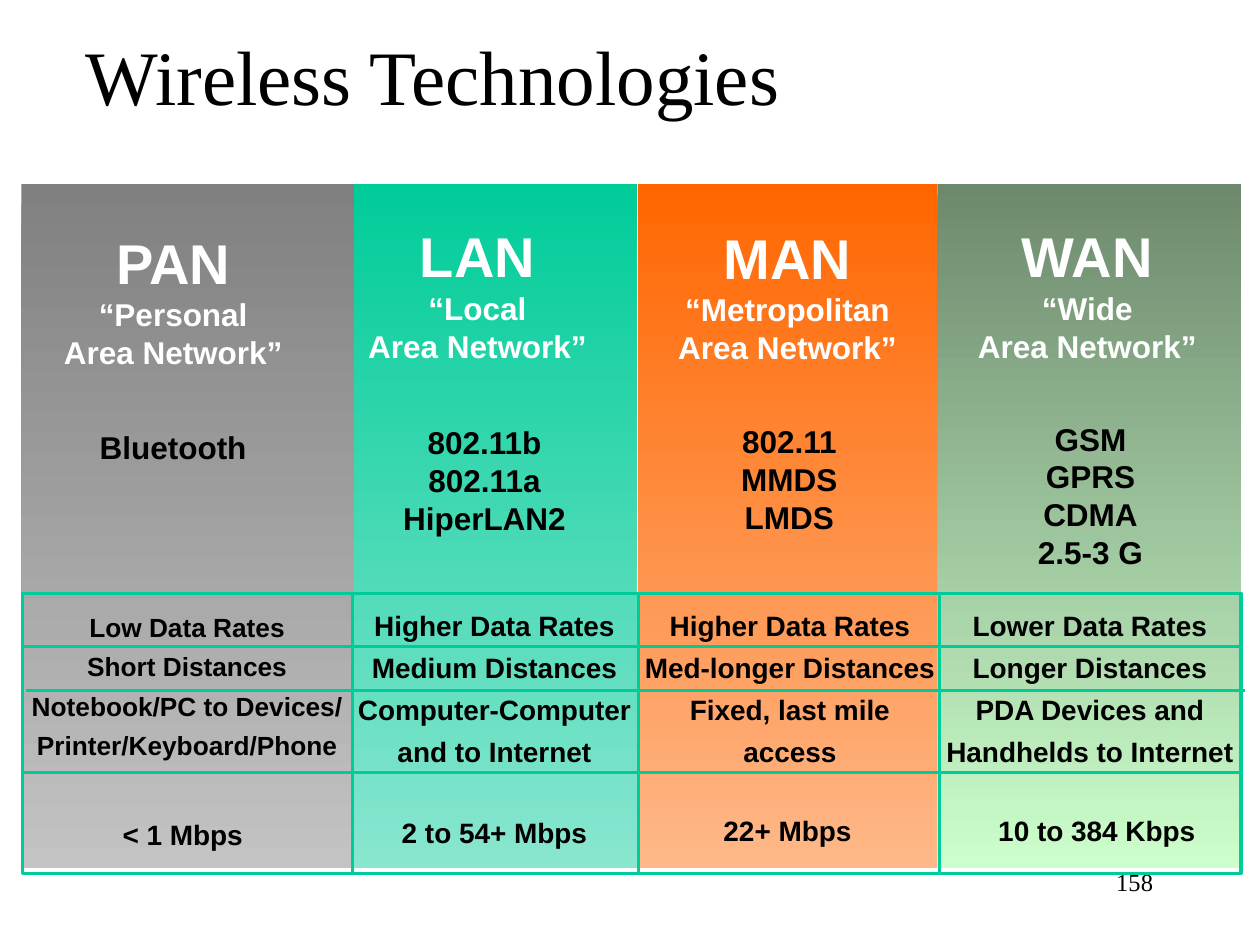
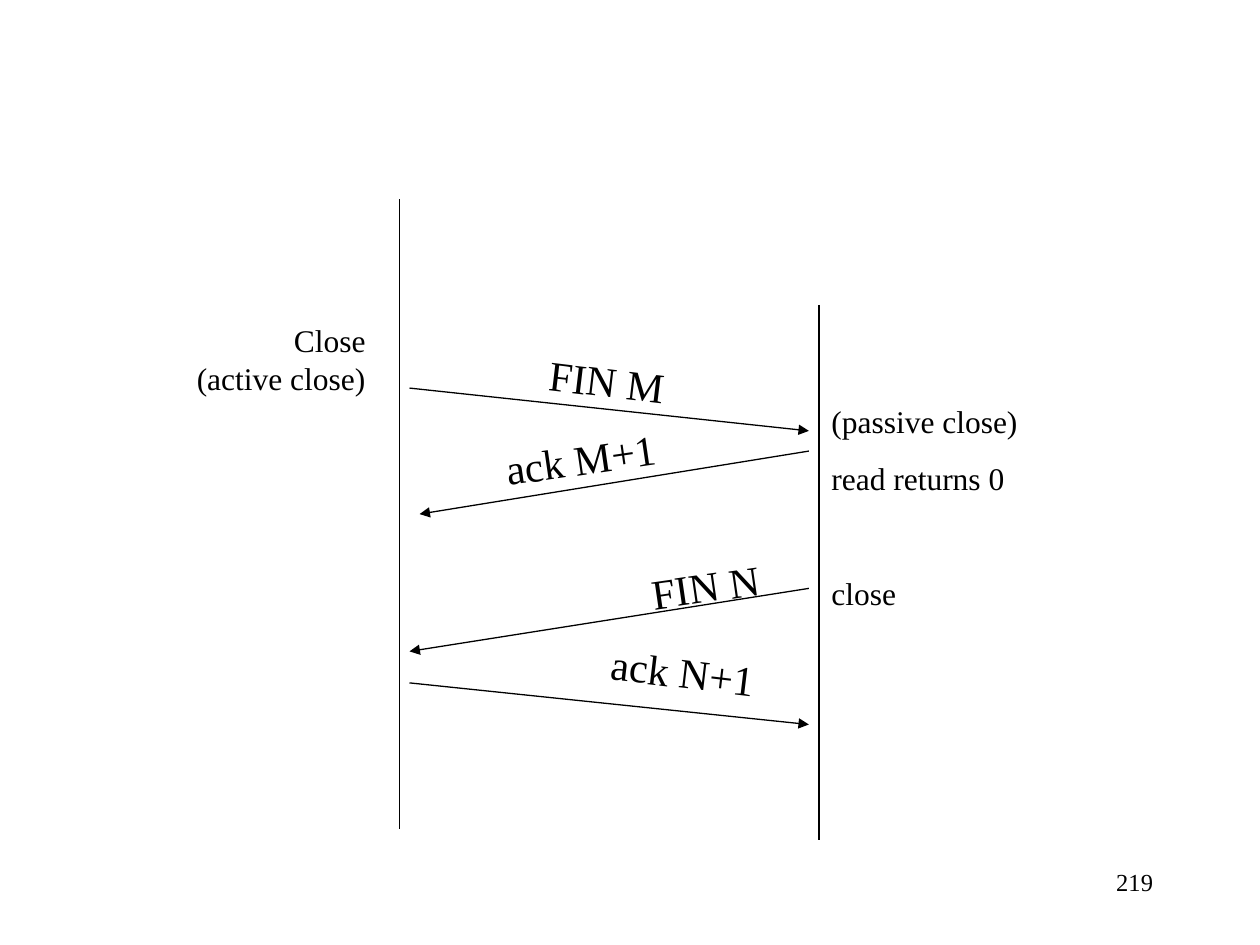
from lxml import etree
from pptx import Presentation
from pptx import util as u
from pptx.dml.color import RGBColor
from pptx.enum import shapes, text
from pptx.oxml import ns

BLACK = RGBColor(0, 0, 0)
WHITE = RGBColor(255, 255, 255)
TEAL = RGBColor(0x00, 0xCC, 0x99)
MINT = RGBColor(0x89, 0xE6, 0xCF)
GREY = RGBColor(0x80, 0x80, 0x80)
SILVER = RGBColor(0xC3, 0xC3, 0xC3)
ORANGE = RGBColor(0xFF, 0x66, 0x00)
PEACH = RGBColor(0xFE, 0xB8, 0x89)
MOSS = RGBColor(0x6D, 0x89, 0x6D)
PALE = RGBColor(0xCC, 0xFF, 0xCC)

SERIF = dict(name="Times New Roman", bold=False, color=BLACK)
SANS = dict(name="Arial", bold=True, color=BLACK)
LEFT = text.PP_ALIGN.LEFT
RIGHT = text.PP_ALIGN.RIGHT
MID = text.PP_ALIGN.CENTER
WIDE = (0.1, 0.05)
TIGHT = (0.08, 0.04)


class Deck:
    def __init__(self):
        self.show = Presentation()
        self.show.slide_width = u.Inches(10)
        self.show.slide_height = u.Inches(7.5)
        self.slide = None

    def page(self, number, title=None):
        self.slide = self.show.slides.add_slide(
            self.show.slide_layouts[5 if title else 6])
        if title:
            head = self.slide.shapes.title
            self.place(head, 0.58, 0.25, 8.5, 0.69)
            self.letter(head, [title], 44, SERIF, LEFT, WIDE)
            head.text_frame.vertical_anchor = text.MSO_ANCHOR.MIDDLE
        self.label((7.17, 6.83, 2.08, 0.5), [number], 14, SERIF, RIGHT, WIDE)

    def place(self, shape, *box):
        for key, size in zip(("left", "top", "width", "height"), box):
            setattr(shape, key, u.Inches(size))

    def letter(self, shape, lines, size, style, align, inset,
               wrap=True, space=None, gaps=()):
        frame = shape.text_frame
        side, edge = map(u.Inches, inset)
        form = dict(word_wrap=wrap, auto_size=text.MSO_AUTO_SIZE.NONE,
                    margin_left=side, margin_right=side,
                    margin_top=edge, margin_bottom=edge)
        for key, value in form.items():
            setattr(frame, key, value)
        sizes = size if isinstance(size, tuple) else (size,) * len(lines)
        for i, line in enumerate(lines):
            para = frame.paragraphs[0] if i == 0 else frame.add_paragraph()
            para.alignment = align
            if space:
                para.line_spacing = space
            if gaps:
                para.space_before = u.Pt(gaps[i])
            run = para.add_run()
            run.text = line
            for key, value in dict(name=style["name"], bold=style["bold"],
                                   size=u.Pt(sizes[i])).items():
                setattr(run.font, key, value)
            run.font.color.rgb = style["color"]

    def label(self, box, lines, size, style, align, inset, turn=0, **more):
        shape = self.slide.shapes.add_textbox(*map(u.Inches, box))
        shape.rotation = turn
        self.letter(shape, lines, size, style, align, inset, **more)

    def rect(self, *box):
        shape = self.slide.shapes.add_shape(
            shapes.MSO_SHAPE.RECTANGLE, *map(u.Inches, box))
        shape.shadow.inherit = False
        return shape

    def band(self, box, top, base):
        shape = self.rect(*box)
        shape.line.fill.background()
        shape.fill.gradient()
        shape.fill.gradient_angle = 270
        for stop, color in zip(shape.fill.gradient_stops, (top, base)):
            stop.color.rgb = color

    def frame(self, box, color, width):
        shape = self.rect(*box)
        shape.fill.background()
        shape.line.color.rgb = color
        shape.line.width = u.Pt(width)

    def line(self, ends, color=BLACK, width=0.75, arrow=False):
        link = self.slide.shapes.add_connector(
            shapes.MSO_CONNECTOR.STRAIGHT, *map(u.Inches, ends))
        link.line.color.rgb = color
        link.line.width = u.Pt(width)
        if arrow:
            etree.SubElement(link.line._get_or_add_ln(),
                             ns.qn("a:tailEnd"), type="triangle")
        etree.SubElement(link._element.spPr, ns.qn("a:effectLst"))


def wireless(deck):
    deck.page("158", "Wireless Technologies")
    area = "Area Network”"
    nets = [
        dict(band=(0.17, 2.64, GREY, SILVER),
             name=((0.31, 1.77, 2.13, 1.21), ["PAN", "“Personal", area]),
             kinds=((0.71, 3.36, 1.33, 0.38), ["Bluetooth"]),
             uses=((0.17, 4.75, 2.63, 1.33),
                   ["Low Data Rates", "Short Distances",
                    "Notebook/PC to Devices/", "Printer/Keyboard/Phone"], 15),
             speed=((0.89, 6.45, 1.12, 0.35), ["< 1 Mbps"])),
        dict(band=(2.81, 2.25, TEAL, MINT),
             name=((2.81, 1.72, 1.96, 1.21), ["LAN", "“Local", area]),
             kinds=((3.12, 3.32, 1.45, 0.98),
                    ["802.11b", "802.11a", "HiperLAN2"]),
             uses=((2.76, 4.72, 2.33, 1.41),
                   ["Higher Data Rates", "Medium Distances",
                    "Computer-Computer", "and to Internet"], 16),
             speed=((3.11, 6.43, 1.63, 0.35), ["2 to 54+ Mbps"])),
        dict(band=(5.06, 2.38, ORANGE, PEACH),
             name=((5.27, 1.73, 1.96, 1.21), ["MAN", "“Metropolitan", area]),
             kinds=((5.8, 3.31, 0.93, 0.98), ["802.11", "MMDS", "LMDS"]),
             uses=((5.04, 4.72, 2.46, 1.41),
                   ["Higher Data Rates", "Med-longer Distances",
                    "Fixed, last mile", "access"], 16),
             speed=((5.66, 6.42, 1.18, 0.35), ["22+ Mbps"])),
        dict(band=(7.44, 2.41, MOSS, PALE),
             name=((7.58, 1.72, 2.1, 1.21), ["WAN", "“Wide", area]),
             kinds=((8.16, 3.29, 0.99, 1.28),
                    ["GSM", "GPRS", "CDMA", "2.5-3 G"]),
             uses=((7.43, 4.72, 2.44, 1.41),
                   ["Lower Data Rates", "Longer Distances",
                    "PDA Devices and", "Handhelds to Internet"], 16),
             speed=((7.84, 6.42, 1.73, 0.35), ["10 to 384 Kbps"])),
    ]
    for net in nets:
        left, width, top, base = net["band"]
        deck.band((left, 1.46, width, 5.43), top, base)
    for net in nets:
        deck.label(*net["name"], (32, 18, 18), SANS | dict(color=WHITE),
                   MID, TIGHT)
        deck.label(*net["kinds"], 18, SANS, MID, TIGHT, wrap=False)
        deck.label(*net["uses"], SANS, MID, TIGHT, wrap=False, space=1.25)
        deck.label(*net["speed"], 16, SANS, MID, TIGHT, wrap=False)

    deck.frame((0.18, 4.71, 9.67, 2.22), TEAL, 1.75)
    for x in (2.8, 5.07, 7.46):
        deck.line((x, 4.71, x, 6.93), TEAL, 1.75)
    for x, y in ((0.18, 5.13), (0.21, 5.48), (0.19, 6.13)):
        deck.line((x, y, x + 9.67, y), TEAL, 1.75)


def closing(deck):
    deck.page("219")
    for ends in ((3.17, 1.58, 3.17, 6.58), (6.5, 2.42, 6.5, 6.67)):
        deck.line(ends)
    down, up = 6.8, 351.7
    steps = [
        ((3.25, 3.08, 6.42, 3.42), "FIN M", (4.26, 2.77, 1.11, 0.5), down),
        ((6.42, 3.58, 3.33, 4.08), "ack M+1", (3.91, 3.39, 1.39, 0.5), up),
        ((6.42, 4.67, 3.25, 5.17), "FIN N", (5.07, 4.4, 1.06, 0.5), up),
        ((3.25, 5.42, 6.42, 5.75), "ack N+1", (4.75, 5.08, 1.34, 0.5), down),
    ]
    for ends, word, box, turn in steps:
        deck.line(ends, arrow=True)
        deck.label(box, [word], 24, SERIF, LEFT, WIDE, turn, wrap=False)
    deck.label((1.46, 2.5, 1.54, 0.7), ["Close", "(active close)"],
               18, SERIF, RIGHT, WIDE, wrap=False)
    deck.label((6.5, 3.14, 3.42, 2.23),
               ["(passive close)", "read returns 0", "close"],
               18, SERIF, LEFT, WIDE, gaps=(0, 11.2, 44))


def main():
    deck = Deck()
    wireless(deck)
    closing(deck)
    deck.show.save("out.pptx")


if __name__ == "__main__":
    main()
